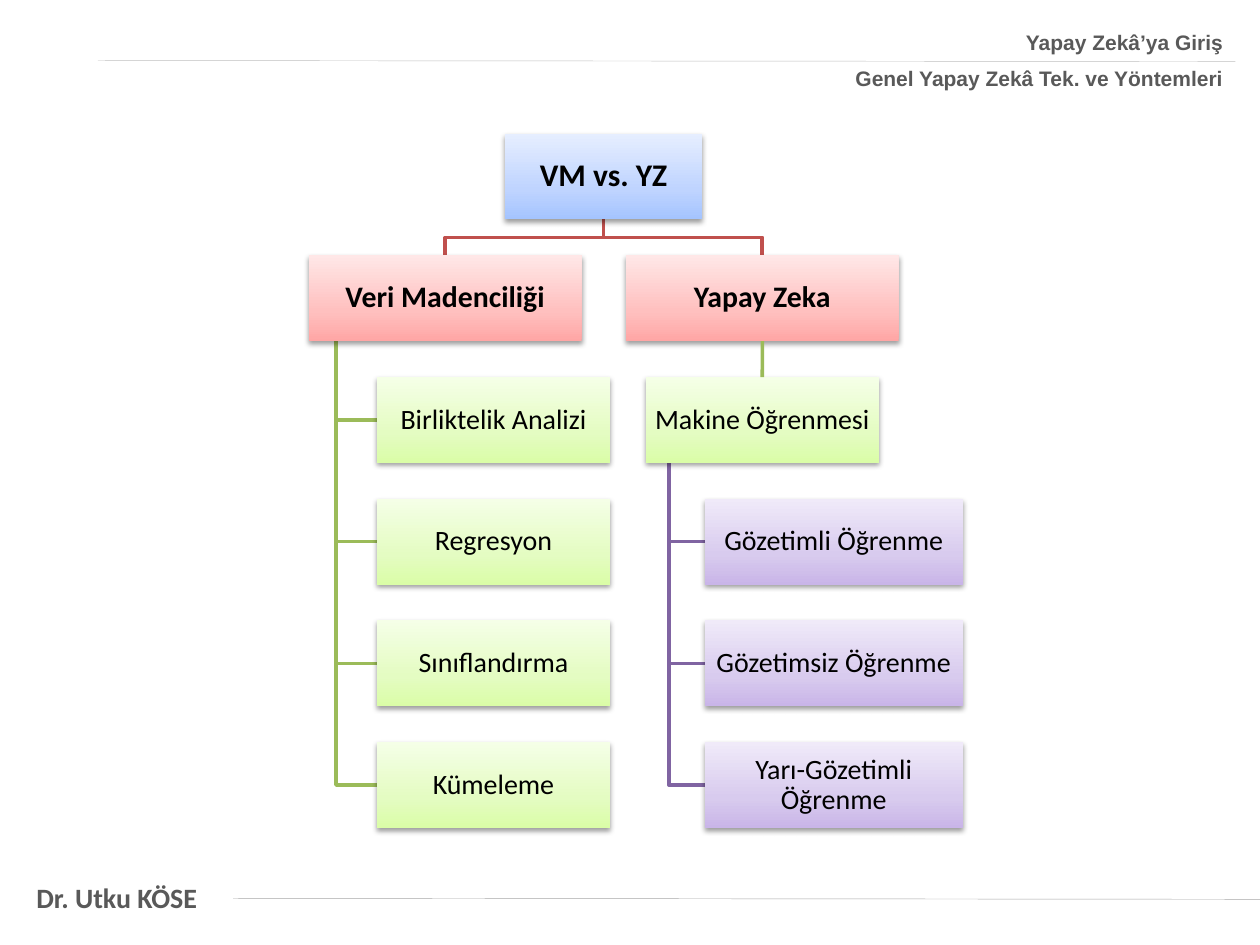
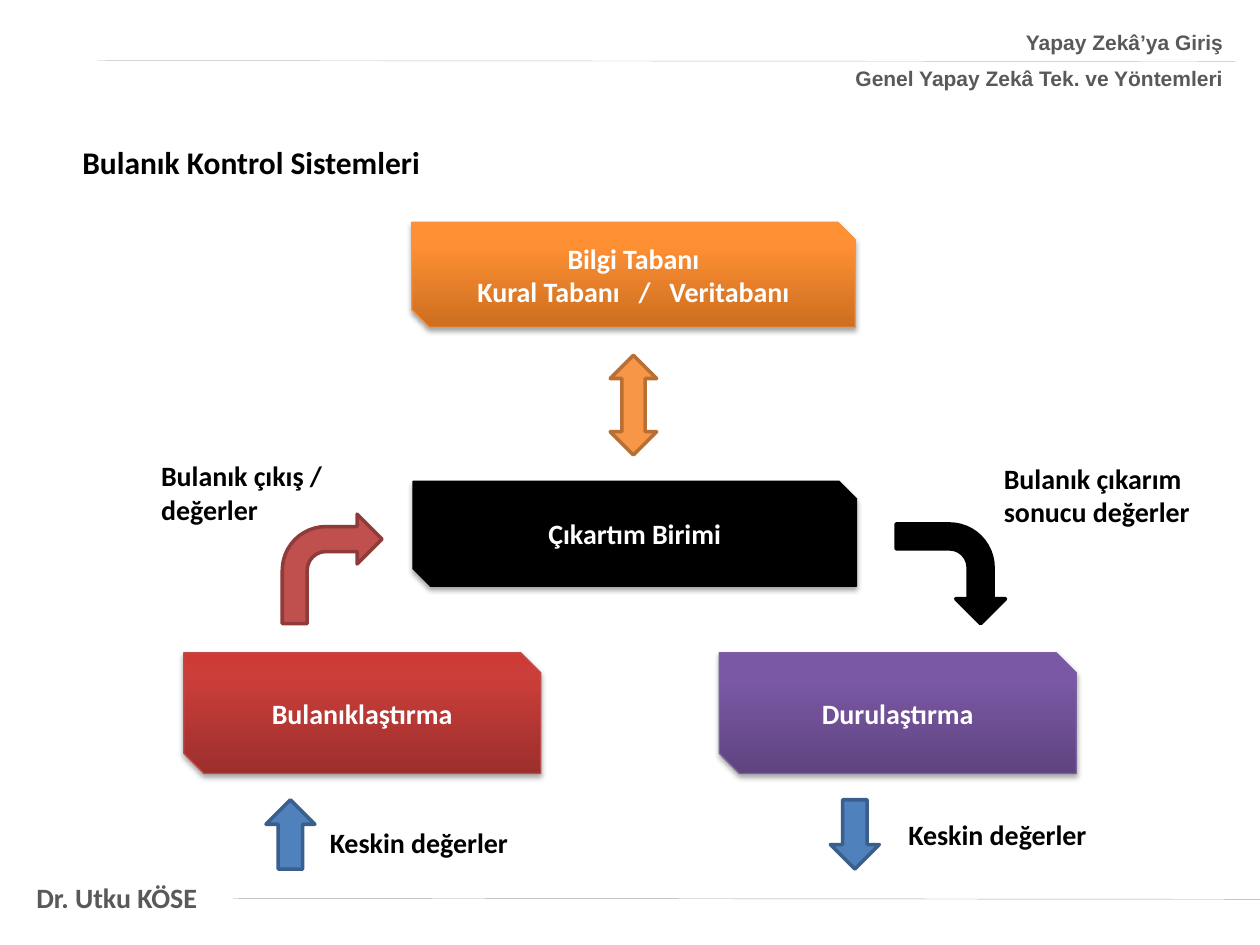
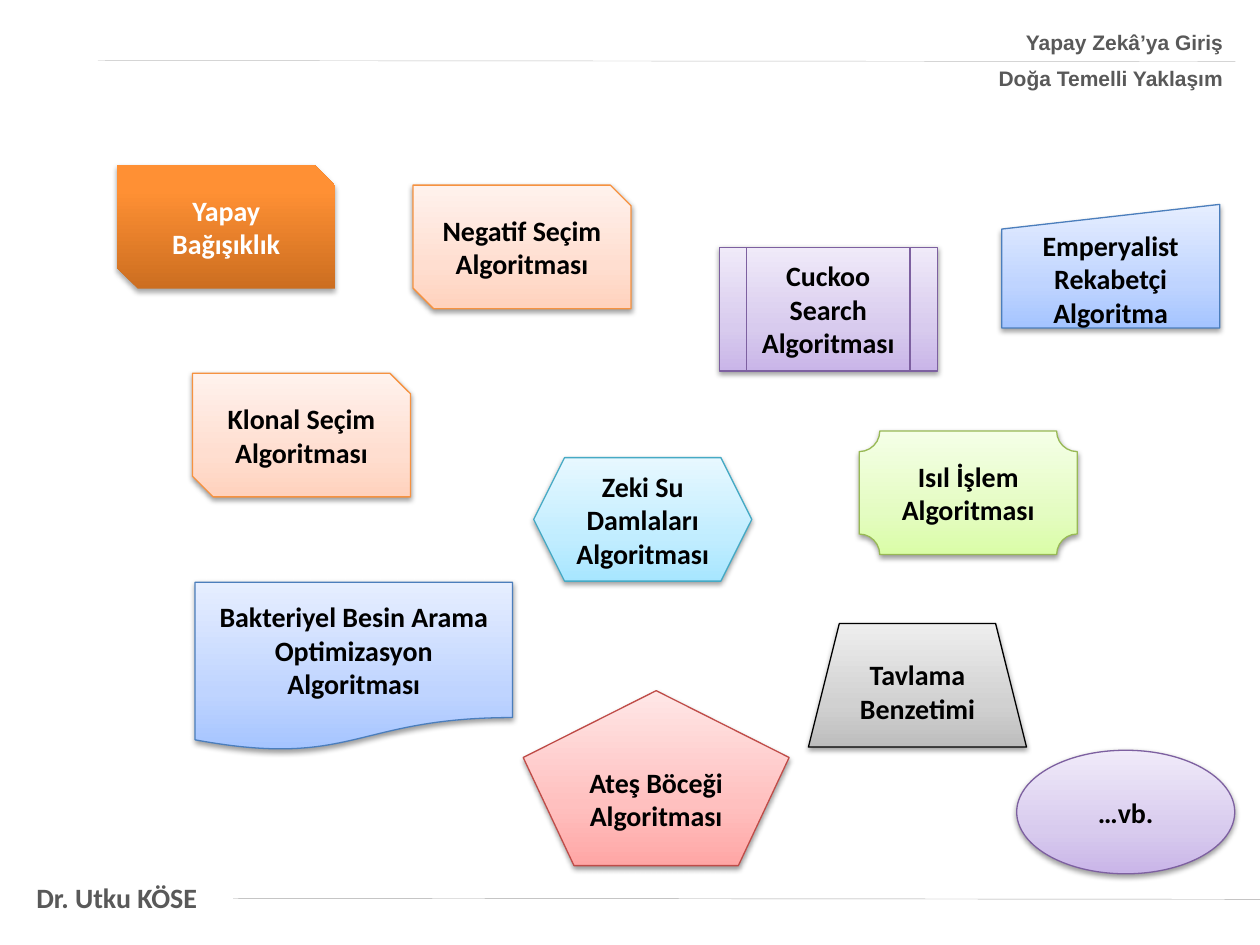
from copy import deepcopy

from lxml import etree
from pptx import Presentation
from pptx.dml.color import RGBColor
from pptx.enum.shapes import MSO_CONNECTOR, MSO_SHAPE
from pptx.enum.text import MSO_ANCHOR, MSO_AUTO_SIZE, PP_ALIGN
from pptx.oxml.ns import qn
from pptx.util import Pt

STRAIGHT = MSO_CONNECTOR.STRAIGHT
RECT = MSO_SHAPE.RECTANGLE
SNIPPED = MSO_SHAPE.SNIP_2_DIAG_RECTANGLE
BENT_ARROW = MSO_SHAPE.BENT_ARROW
UP_ARROW = MSO_SHAPE.UP_ARROW
DOWN_ARROW = MSO_SHAPE.DOWN_ARROW
UP_DOWN_ARROW = MSO_SHAPE.UP_DOWN_ARROW
HEXAGON = MSO_SHAPE.HEXAGON
PROCESS = MSO_SHAPE.FLOWCHART_PREDEFINED_PROCESS
DOCUMENT = MSO_SHAPE.FLOWCHART_DOCUMENT
MANUAL_INPUT = MSO_SHAPE.FLOWCHART_MANUAL_INPUT
PENTAGON = MSO_SHAPE.REGULAR_PENTAGON
PLAQUE = MSO_SHAPE.PLAQUE
TRAPEZOID = MSO_SHAPE.TRAPEZOID
OVAL = MSO_SHAPE.OVAL
LEFT, CENTER, RIGHT = PP_ALIGN.LEFT, PP_ALIGN.CENTER, PP_ALIGN.RIGHT
MIDDLE, TOP = MSO_ANCHOR.MIDDLE, MSO_ANCHOR.TOP
FIT_SHAPE = MSO_AUTO_SIZE.SHAPE_TO_FIT_TEXT

BLACK, WHITE, GREY = "000000", "FFFFFF", "595959"
HEADER_RULE, FOOTER_RULE = "BFBFBF", "A6A6A6"
RED_LINK, GREEN_LINK, PURPLE_LINK = "C0504D", "9BBB59", "8064A2"
ORANGE_EDGE, RED_EDGE, PURPLE_EDGE = "F69240", "BF4C48", "7D60A0"
BLUE_EDGE, GREEN_EDGE, AQUA_EDGE = "4B7EBC", "98B955", "46AAC5"

PALE_BLUE = ((0, "A4C4FF"), (35, "BFD4FF"), (100, "E6EEFF"))
PALE_RED = ((0, "FFA6A5"), (35, "FFC0BF"), (100, "FFE7E7"))
PALE_GREEN = ((0, "DAFDA7"), (35, "E4FCC2"), (100, "F5FFE7"))
PALE_PURPLE = ((0, "C9B5E8"), (35, "D8CBEE"), (100, "F0EAF9"))
PALE_ORANGE = ((0, "FFD2BD"), (35, "FFDED0"), (100, "FFF2ED"))
PALE_AQUA = ((0, "A7E6FF"), (35, "C1EDFF"), (100, "E7F8FF"))
PALE_GREY = ((0, "BDBDBD"), (35, "D1D1D1"), (100, "EEEEEE"))
DEEP_ORANGE = ((0, "CC6E20"), (80, "FF9034"), (100, "FF9136"))
DEEP_RED = ((0, "9C2F2D"), (80, "CB3E3A"), (100, "CE3B37"))
DEEP_PURPLE = ((0, "5F4480"), (80, "7B58A6"), (100, "7C57A8"))


def rgb(value):
    """Turn a hex string into a colour."""
    return RGBColor.from_string(value)


def place(box, x, y, w, h):
    """Return lengths for a part measured from the corner of its box."""
    return Pt(box[0] + x), Pt(box[1] + y), Pt(w), Pt(h)


def write(frame, text, size=16, color=BLACK, bold=True, font="Calibri", align=LEFT,
          anchor=TOP, inset=None, spacing=None, after=0, wrap=True):
    """Fill a text frame, one paragraph per line of text."""
    frame.word_wrap = wrap
    frame.vertical_anchor = anchor
    if inset is not None:
        frame.margin_left = frame.margin_right = Pt(inset)
        frame.margin_top = frame.margin_bottom = Pt(inset)
    for index, line in enumerate(text.split("\n")):
        paragraph = frame.add_paragraph() if index else frame.paragraphs[0]
        paragraph.alignment = align
        paragraph.space_after = Pt(after)
        if spacing:
            paragraph.line_spacing = spacing
        run = paragraph.add_run()
        run.text = line
        run.font.name, run.font.size, run.font.bold = font, Pt(size), bold
        run.font.color.rgb = rgb(color)


def label(slide, area, text, **text_format):
    """Add a text box that grows with its text."""
    frame = slide.shapes.add_textbox(*area).text_frame
    write(frame, text, **text_format)
    frame.auto_size = FIT_SHAPE


def paint(shape, fill, edge=None, width=0.75):
    """Give a shape a plain or graded fill and an optional edge."""
    if isinstance(fill, str):
        shape.fill.solid()
        shape.fill.fore_color.rgb = rgb(fill)
    else:
        shape.fill.gradient()
        shape.fill.gradient_angle = 90
        stop_list = shape._element.spPr.find(".//" + qn("a:gsLst"))
        stop_list.insert(1, deepcopy(stop_list[0]))
        for stop, (percent, color) in zip(shape.fill.gradient_stops, fill):
            stop.position = percent / 100
            stop.color.rgb = rgb(color)
    if edge:
        shape.line.color.rgb = rgb(edge)
        shape.line.width = Pt(width)
    else:
        shape.line.fill.background()
    shape.shadow.inherit = False


def cast_shadow(shape, opacity, distance):
    """Add a soft shadow below a shape."""
    effects = shape._element.spPr.find(qn("a:effectLst"))
    shadow = etree.SubElement(effects, qn("a:outerShdw"), blurRad=str(Pt(3.1)),
                              dist=str(Pt(distance)), dir="5400000", rotWithShape="0")
    color = etree.SubElement(shadow, qn("a:srgbClr"), val=BLACK)
    etree.SubElement(color, qn("a:alpha"), val=str(opacity * 1000))


def card(slide, area, kind, text, fill, edge=None, color=BLACK, **text_format):
    """Add a shadowed shape with centred text."""
    shape = slide.shapes.add_shape(kind, *area)
    paint(shape, fill, edge)
    cast_shadow(shape, *((35, 1.8) if color == WHITE else (38, 1.6)))
    write(shape.text_frame, text, color=color, align=CENTER, anchor=MIDDLE, **text_format)
    return shape


def arrow(slide, area, kind, fill, edge, rotation=0):
    """Add a block arrow."""
    shape = slide.shapes.add_shape(kind, *area)
    paint(shape, fill, edge, 2)
    shape.rotation = rotation


def rule(slide, start, end, color, width):
    """Add a straight line between two points."""
    line = slide.shapes.add_connector(STRAIGHT, *map(Pt, start + end))
    line.line.color.rgb = rgb(color)
    line.line.width = Pt(width)
    etree.SubElement(line._element.spPr, qn("a:effectLst"))
    return line


def elbow(slide, points, color):
    """Add an angled link through the points."""
    start, *rest = [(Pt(x), Pt(y)) for x, y in points]
    builder = slide.shapes.build_freeform(*start)
    builder.add_line_segments(rest, close=False)
    link = builder.convert_to_shape()
    link.fill.background()
    link.line.color.rgb = rgb(color)
    link.line.width = Pt(2)
    link.shadow.inherit = False


def header(slide, box, topic):
    """Place the course name and topic around a thin rule."""
    left, top, width, height = box
    rule(slide, (left, top + 21), (left + width, top + 21.6), HEADER_RULE, 0.25)
    label(slide, place(box, width - 295, 0, 295, height), "Yapay Zekâ’ya Giriş\n" + topic,
          size=12, color=GREY, font="Arial", align=RIGHT, after=6)


def footer(slide, box):
    """Place the lecturer's name and the rule beside it."""
    left, top, width, height = box
    label(slide, place(box, 0, 0, 108, height), "Dr. Utku KÖSE", color=GREY, wrap=False)
    rule(slide, (left + 119.5, top + 13.6), (left + width, top + 14.2), FOOTER_RULE, 0.25)


def new_slide(deck, topic):
    """Add a blank slide with the shared header and footer."""
    slide = deck.slides.add_slide(deck.slide_layouts[6])
    footer(slide, (13.7, 499.7, 706.3, 27))
    header(slide, (56, 13.6, 650, 42.5), topic)
    return slide


def org_chart(slide, box):
    """Draw the tree that compares data mining with artificial intelligence."""
    left, top, _, height = box
    node_height = 49
    pitch = (height - node_height) / 5
    root_x, root_width = 112, 113
    branch_width, leaf_width, method_width = 156, 133.2, 147.6
    mining_x, ai_x, task_x, learning_x, method_x = 0, 181.2, 39, 192.6, 226.2
    tasks = ["Birliktelik Analizi", "Regresyon", "Sınıflandırma", "Kümeleme"]
    methods = ["Gözetimli Öğrenme", "Gözetimsiz Öğrenme", "Yarı-Gözetimli Öğrenme"]

    def node(x, row, width, text, fill, size=16, bold=False):
        """Add one box of the tree on its row."""
        return card(slide, place(box, x, row * pitch, width, node_height), RECT, text, fill,
                    size=size, bold=bold, inset=0.7, spacing=0.9)

    def hang(parent_x, parent_width, parent_row, child_x, child_row, color):
        """Link a child's left side to the trunk below its parent."""
        trunk_x = left + parent_x + parent_width / 10
        child_y = top + child_row * pitch + node_height / 2
        elbow(slide, [(trunk_x, top + parent_row * pitch + node_height),
                      (trunk_x, child_y), (left + child_x, child_y)], color)

    for row in range(5, 2, -1):
        hang(learning_x, leaf_width, 2, method_x, row, PURPLE_LINK)
    for row in range(5, 1, -1):
        hang(mining_x, branch_width, 1, task_x, row, GREEN_LINK)
    root_center = left + root_x + root_width / 2
    fork_y = top + (node_height + pitch) / 2
    for branch_x in (ai_x, mining_x):
        branch_center = left + branch_x + branch_width / 2
        elbow(slide, [(root_center, top + node_height), (root_center, fork_y),
                      (branch_center, fork_y), (branch_center, top + pitch)], RED_LINK)

    node(root_x, 0, root_width, "VM vs. YZ", PALE_BLUE, 18, True)
    node(mining_x, 1, branch_width, "Veri Madenciliği", PALE_RED, 17, True)
    for row, task in enumerate(tasks, 2):
        node(task_x, row, leaf_width, task, PALE_GREEN)
    ai = node(ai_x, 1, branch_width, "Yapay Zeka", PALE_RED, 17, True)
    learning = node(learning_x, 2, leaf_width, "Makine Öğrenmesi", PALE_GREEN)
    for row, method in enumerate(methods, 3):
        node(method_x, row, method_width, method, PALE_PURPLE)
    ai_link = rule(slide, (0, 0), (0, 0), GREEN_LINK, 2)
    ai_link.begin_connect(ai, 2)
    ai_link.end_connect(learning, 0)


def fuzzy_control(slide, box):
    """Draw the units of a fuzzy control system and the flow between them."""
    label(slide, place(box, 0, 0, 335, 29), "Bulanık Kontrol Sistemleri", size=18)
    units = [
        (195.3, 49, 253.4, 60, "Bilgi Tabanı\nKural Tabanı   /   Veritabanı",
         DEEP_ORANGE, ORANGE_EDGE),
        (196, 197, 253.4, 60, "Çıkartım Birimi", BLACK, BLACK),
        (65, 295, 204, 69, "Bulanıklaştırma", DEEP_RED, RED_EDGE),
        (371, 295, 204, 69, "Durulaştırma", DEEP_PURPLE, PURPLE_EDGE),
    ]
    for *area, name, fill, edge in units:
        card(slide, place(box, *area), SNIPPED, name, fill, edge, color=WHITE)
    flows = [
        (308.7, 125, 26.6, 57, UP_DOWN_ARROW, "F79646", "B76F34", 0),
        (121.3, 215.8, 57, 62.6, BENT_ARROW, "C0504D", "8E3B39", 0),
        (474.8, 218.6, 57, 62.6, BENT_ARROW, BLACK, BLACK, 90),
        (112, 379, 28, 39.6, UP_ARROW, "4F81BD", "3A5F8C", 0),
        (434.5, 379, 28, 39.6, DOWN_ARROW, "4F81BD", "3A5F8C", 0),
    ]
    for *area, kind, fill, edge, rotation in flows:
        arrow(slide, place(box, *area), kind, fill, edge, rotation)
    values = [
        (141.4, 390, 27, "Keskin değerler"),
        (472, 385.7, 27, "Keskin değerler"),
        (45, 180.5, 46, "Bulanık çıkış / değerler"),
        (526.6, 182, 46, "Bulanık çıkarım sonucu değerler"),
    ]
    for x, y, height, text in values:
        label(slide, place(box, x, y, 122, height), text)


def nature_algorithms(slide, box):
    """Scatter the nature-inspired algorithms over the box."""
    usual = (124.6, 70.6)
    card(slide, place(box, 0, 0, *usual), SNIPPED, "Yapay Bağışıklık", DEEP_ORANGE, color=WHITE)
    algorithms = [
        (43, 119, usual, SNIPPED, "Klonal Seçim Algoritması", PALE_ORANGE, ORANGE_EDGE),
        (169, 11.5, usual, SNIPPED, "Negatif Seçim Algoritması", PALE_ORANGE, ORANGE_EDGE),
        (238, 167.2, usual, HEXAGON, "Zeki Su Damlaları Algoritması", PALE_AQUA, AQUA_EDGE),
        (344, 47, usual, PROCESS, "Cuckoo Search Algoritması", PALE_PURPLE, PURPLE_EDGE),
        (44.5, 238.4, (181.4, 96.5), DOCUMENT,
         "Bakteriyel Besin Arama Optimizasyon Algoritması", PALE_BLUE, BLUE_EDGE),
        (232, 300.4, (152, 100), PENTAGON, "Ateş Böceği Algoritması", PALE_RED, RED_EDGE),
        (424, 152, usual, PLAQUE, "Isıl İşlem Algoritması", PALE_GREEN, GREEN_EDGE),
        (395, 262, usual, TRAPEZOID, "Tavlama Benzetimi", PALE_GREY, BLACK),
        (514, 334.4, usual, OVAL, "…vb.", PALE_PURPLE, PURPLE_EDGE),
        (505.4, 22.5, usual, MANUAL_INPUT, "Emperyalist Rekabetçi Algoritma",
         PALE_BLUE, BLUE_EDGE),
    ]
    for x, y, size, kind, name, fill, edge in algorithms:
        card(slide, place(box, x, y, *size), kind, name, fill, edge)


def main():
    """Build the three slides and save them."""
    deck = Presentation()
    deck.slide_width, deck.slide_height = Pt(720), Pt(540)
    techniques = "Genel Yapay Zekâ Tek. ve Yöntemleri"
    org_chart(new_slide(deck, techniques), (176.4, 76.4, 373.8, 396.7))
    fuzzy_control(new_slide(deck, techniques), (40, 78, 648, 419))
    nature_algorithms(new_slide(deck, "Doğa Temelli Yaklaşım"), (67, 94.3, 639, 405))
    deck.save("out.pptx")


if __name__ == "__main__":
    main()
